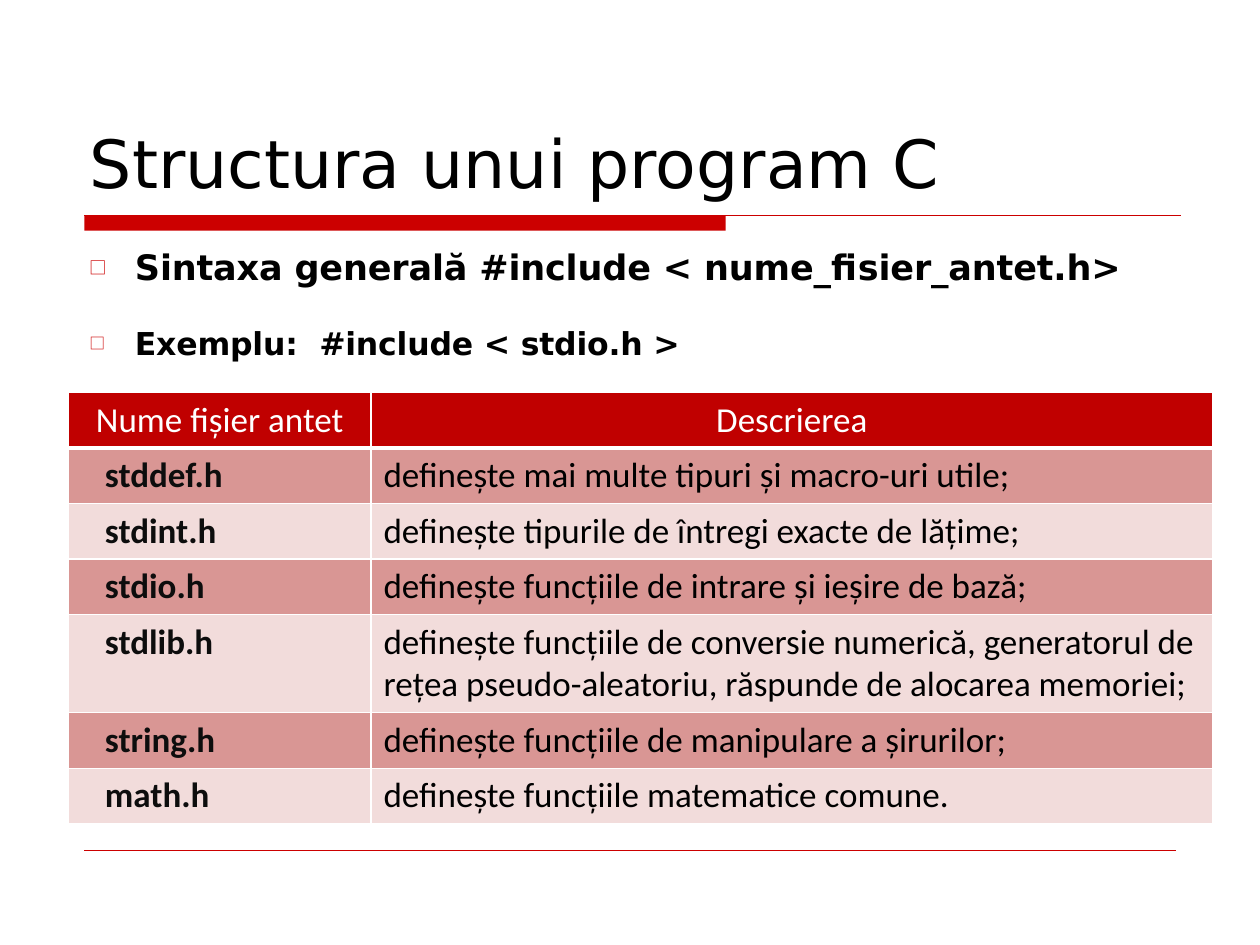
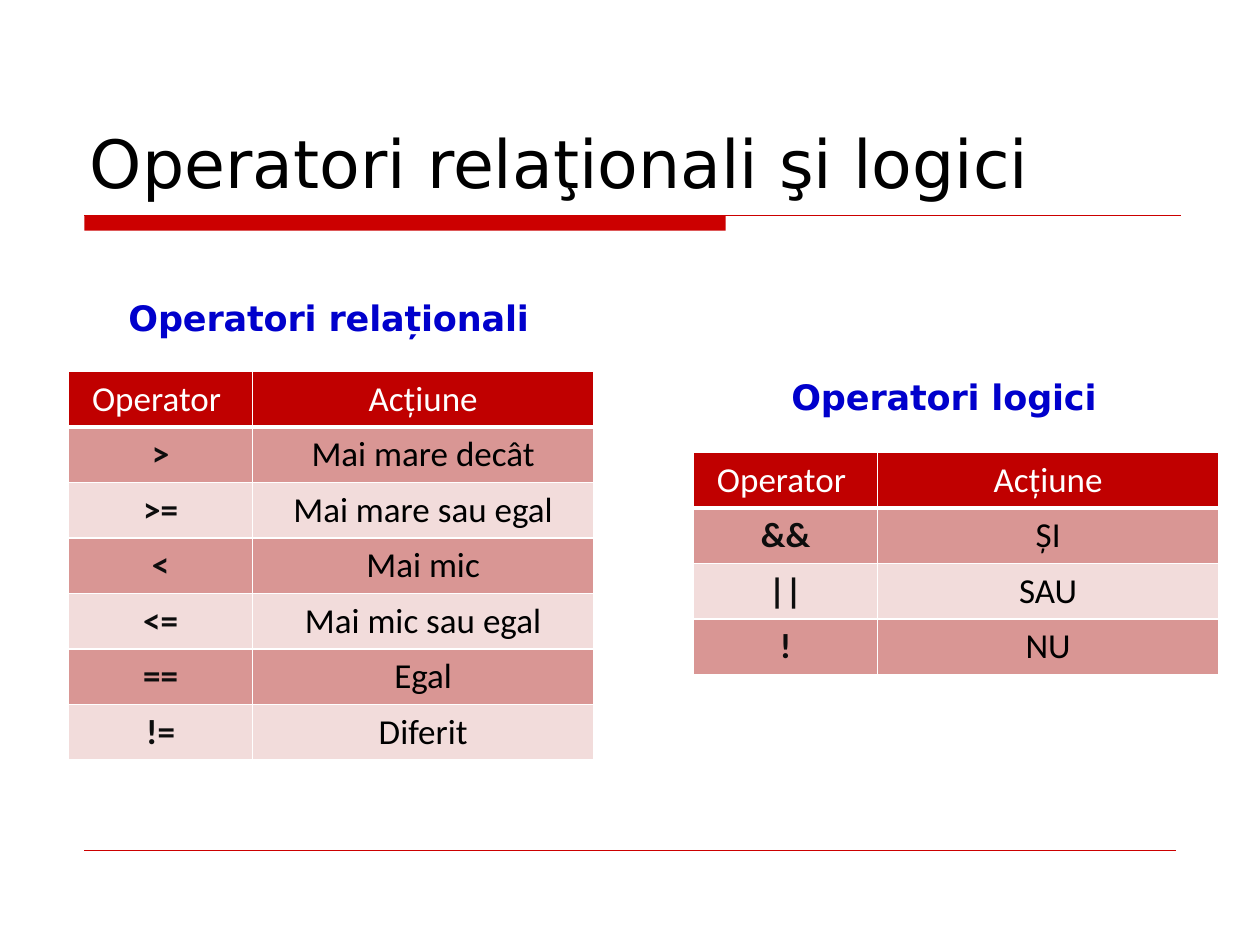
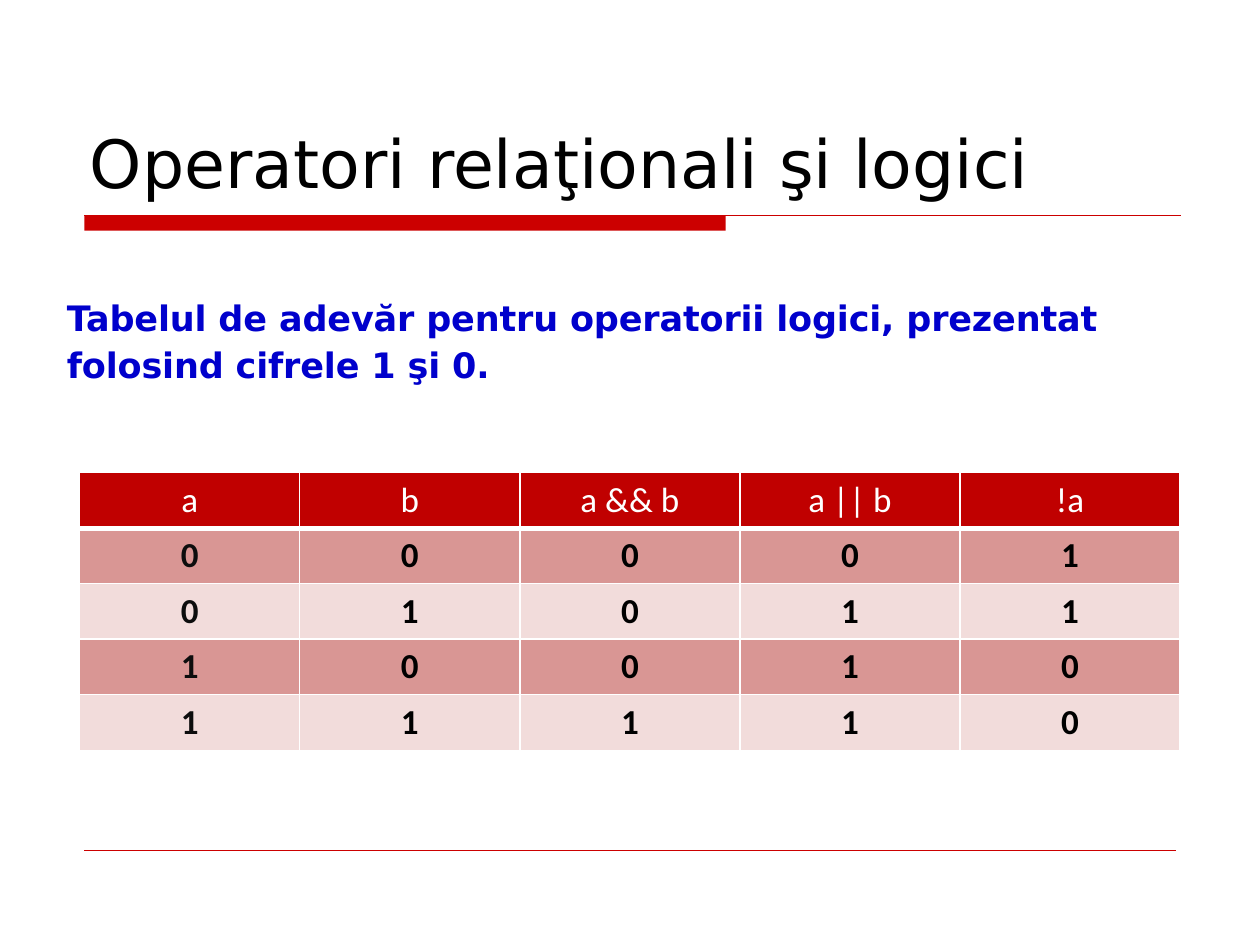
from lxml import etree
from pptx import Presentation
from pptx import util as u
from pptx.dml import color
from pptx.enum import shapes, text
from pptx.oxml import ns

Pt = u.Pt
COLORS = {
    "accent": "CC0000", "header": "C00000", "odd": "D99694", "even": "F2DCDB",
    "white": "FFFFFF", "ink": "000000", "key": "0D0D0D", "caption": "0000CC",
}
HEADING_FONT, TABLE_FONT, BULLET_FONT = "DejaVu Sans", "Calibri", "Noto Sans CJK KR"
LEFT, CENTER = text.PP_ALIGN.LEFT, text.PP_ALIGN.CENTER
LINE_HEIGHT, CELL_PADDING = 24.1, 7.2


def rgb(name):
    """Return the named colour."""
    return color.RGBColor.from_string(COLORS[name])


def child(parent, tag, **attributes):
    """Append a DrawingML element and return it."""
    return etree.SubElement(parent, ns.qn(f"a:{tag}"), attributes)


def add_run(paragraph, words, size, ink, bold=False, font=HEADING_FONT, spacing=0):
    """Add one formatted run to a paragraph."""
    run = paragraph.add_run()
    run.text = words
    run.font.name, run.font.size, run.font.bold = font, Pt(size), bold
    run.font.color.rgb = rgb(ink)
    if spacing:
        run._r.get_or_add_rPr().set("spc", str(spacing))


def place(shape, box):
    """Move a shape to a box given in points."""
    shape.left, shape.top, shape.width, shape.height = map(Pt, box)


def prepare_frame(frame):
    """Remove the insets and set wrapping from the top of the frame."""
    frame.margin_left = frame.margin_top = frame.margin_right = frame.margin_bottom = 0
    frame.word_wrap = True
    frame.auto_size = text.MSO_AUTO_SIZE.NONE
    frame.vertical_anchor = text.MSO_ANCHOR.TOP


def add_rule(slide, left, top, width, weight):
    """Draw a horizontal accent line."""
    rule = slide.shapes.add_connector(
        shapes.MSO_CONNECTOR.STRAIGHT, Pt(left), Pt(top), Pt(left + width), Pt(top))
    rule.line.color.rgb = rgb("accent")
    rule.line.width = Pt(weight)
    child(rule._element.spPr, "effectLst")


def add_base(deck, layout, heading):
    """Add a slide with the shared band, rules and title."""
    slide = deck.slides.add_slide(deck.slide_layouts[layout])
    left, top = 48.2, 123.1
    band = slide.shapes.add_shape(
        shapes.MSO_SHAPE.RECTANGLE, Pt(left), Pt(top), Pt(366.5), Pt(8.7))
    band.shadow.inherit = False
    band.fill.solid()
    band.fill.fore_color.rgb = rgb("accent")
    band.line.fill.background()
    add_rule(slide, left, top, 626.4, 0.75)
    add_rule(slide, left, 486, 624, 0.25)

    title = slide.shapes.title
    place(title, (51.4, 69.8, 600, 47.5))
    prepare_frame(title.text_frame)
    line = title.text_frame.paragraphs[0]
    line.alignment = LEFT
    line.space_before, line.line_spacing = Pt(1), 1.0
    add_run(line, heading, 38, "ink")
    return slide


def add_bullets(slide, box, items):
    """Fill the body placeholder with items of text, size and space before."""
    body = slide.placeholders[1]
    place(body, box)
    frame = body.text_frame
    prepare_frame(frame)
    for index, (words, size, gap) in enumerate(items):
        item = frame.add_paragraph() if index else frame.paragraphs[0]
        item.space_before, item.line_spacing = Pt(gap), 1.0
        add_run(item, words, size, "ink", bold=True, spacing=-10)
        props = item._p.get_or_add_pPr()
        props.set("marL", str(Pt(26)))
        props.set("indent", str(-Pt(26)))
        child(child(props, "buClr"), "srgbClr", val=COLORS["accent"])
        child(props, "buSzPct", val="50000")
        child(props, "buFont", typeface=BULLET_FONT)
        child(props, "buChar", char="□")


def add_caption(slide, box, words):
    """Add a blue caption above a table."""
    frame = slide.shapes.add_textbox(*map(Pt, box)).text_frame
    prepare_frame(frame)
    line = frame.paragraphs[0]
    line.line_spacing, line.space_before, line.space_after = 1.11, Pt(1), Pt(6)
    add_run(line, words, 20, "caption", bold=True, spacing=-10)


def add_borders(cell, row):
    """Draw white cell borders, heavier below the header."""
    heavy = {0: "lnB", 1: "lnT"}.get(row)
    for side in ("lnL", "lnR", "lnT", "lnB"):
        weight = 3 if side == heavy else 1
        border = child(cell._tc.get_or_add_tcPr(), side, w=str(Pt(weight)))
        child(child(border, "solidFill"), "srgbClr", val=COLORS["white"])


def add_grid(slide, left, top, widths, rows, align=CENTER, key_margin=CELL_PADDING,
             bold_values=False, line_counts=None):
    """Add a banded table with a header row and a bold key column."""
    line_counts = line_counts or {}
    heights = [CELL_PADDING + LINE_HEIGHT * line_counts.get(r, 1) for r in range(len(rows))]
    table = slide.shapes.add_table(
        len(rows), len(widths), Pt(left), Pt(top), Pt(sum(widths)), Pt(sum(heights))).table
    table.horz_banding = False
    for column, width in zip(table.columns, widths):
        column.width = Pt(width)
    for r, (values, height) in enumerate(zip(rows, heights)):
        table.rows[r].height = Pt(height)
        for c, words in enumerate(values):
            cell = table.cell(r, c)
            add_borders(cell, r)
            cell.fill.solid()
            cell.fill.fore_color.rgb = rgb("header" if r == 0 else "odd" if r % 2 else "even")
            line = cell.text_frame.paragraphs[0]
            line.alignment = align if r else CENTER
            if r and c == 0:
                cell.margin_left = Pt(key_margin)
            ink = "white" if r == 0 else "key" if c == 0 else "ink"
            add_run(line, words, 20, ink, r > 0 and (c == 0 or bold_values), TABLE_FONT)


def build_headers_slide(deck):
    """Build the slide on header files."""
    slide = add_base(deck, 1, "Structura unui program C")
    add_bullets(slide, (51.1, 140.4, 620, 70), [
        ("Sintaxa generală #include < nume_fisier_antet.h>", 20, 0),
        ("Exemplu:  #include < stdio.h >", 18, 20.5),
    ])
    add_grid(slide, 39.2, 224.2, (172.8, 481), [
        ("Nume fișier antet", "Descrierea"),
        ("stddef.h", "definește mai multe tipuri și macro-uri utile;"),
        ("stdint.h", "definește tipurile de întregi exacte de lățime;"),
        ("stdio.h", "definește funcțiile de intrare și ieșire de bază;"),
        ("stdlib.h", "definește funcțiile de conversie numerică, generatorul de "
                     "rețea pseudo-aleatoriu, răspunde de alocarea memoriei;"),
        ("string.h", "definește funcțiile de manipulare a șirurilor;"),
        ("math.h", "definește funcțiile matematice comune."),
    ], align=LEFT, key_margin=20.8, line_counts={4: 2})


def build_operators_slide(deck):
    """Build the slide with the relational and logical operators."""
    slide = add_base(deck, 5, "Operatori relaţionali şi logici")
    header, widths = ("Operator ", "Acțiune"), (105.1, 195.1)
    add_grid(slide, 39.2, 212.3, widths, [
        header, (">", "Mai mare decât"), (">=", "Mai mare sau egal"), ("<", "Mai mic"),
        ("<=", "Mai mic sau egal"), ("==", "Egal"), ("!=", "Diferit"),
    ])
    add_grid(slide, 396.3, 258.5, widths, [header, ("&&", "ȘI"), ("||", "SAU"), ("!", "NU")])
    add_caption(slide, (73.4, 167, 262, 26), "Operatori relaționali")
    add_caption(slide, (452.2, 211.7, 237, 26), "Operatori logici")


def build_truth_slide(deck):
    """Build the slide with the truth table."""
    slide = add_base(deck, 5, "Operatori relaţionali şi logici")
    add_grid(slide, 45.5, 270.1, (125.8,) * 5,
             [("a", "b", "a && b", "a || b", "!a"), "00001", "01011", "10010", "11110"],
             bold_values=True)
    add_caption(slide, (38.2, 167, 651.6, 53.3),
                "Tabelul de adevăr pentru operatorii logici, prezentat folosind cifrele 1 şi 0.")


def main():
    """Build and save the presentation."""
    deck = Presentation()
    deck.slide_width, deck.slide_height = Pt(720), Pt(540)
    build_headers_slide(deck)
    build_operators_slide(deck)
    build_truth_slide(deck)
    deck.save("out.pptx")


if __name__ == "__main__":
    main()
